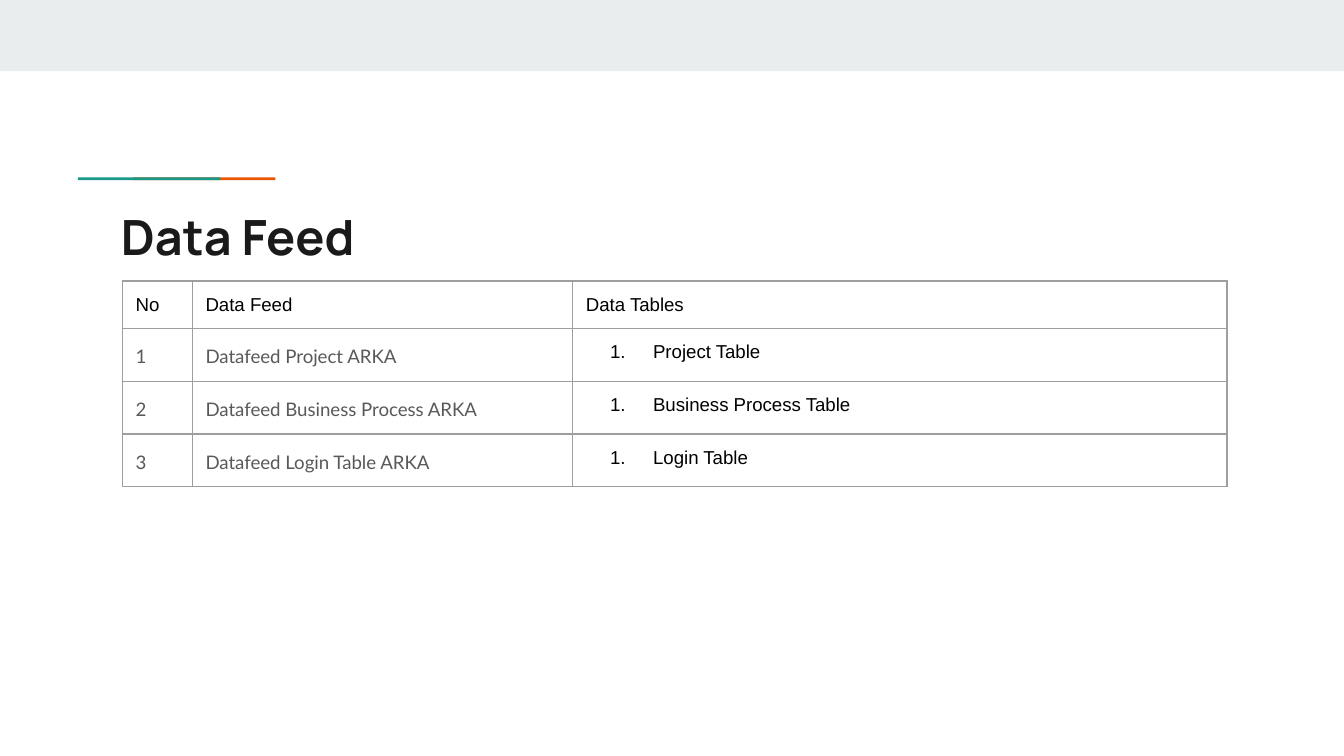
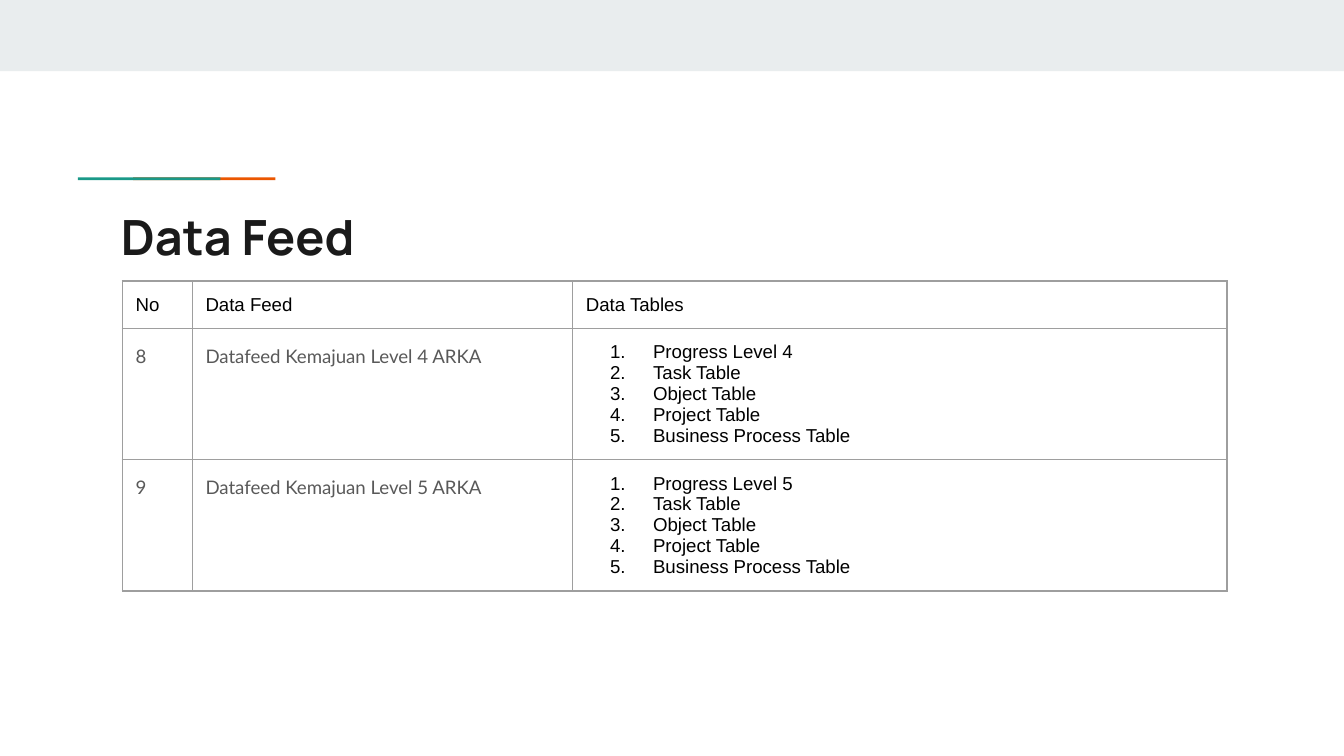
"""Build the two Data Feed slides, each with a feed table under a shared heading."""
from dataclasses import dataclass

from lxml import etree
from pptx import Presentation
from pptx.dml.color import RGBColor
from pptx.enum import shapes, text
from pptx.oxml import ns
from pptx.util import Inches, Pt

BLACK, GREY, INK, RULE = "000000", "595959", "1A1A1A", "9E9E9E"
INSET = Inches(0.1)
ROW_HEIGHT = Inches(0.28)
COLUMN_WIDTHS = (0.52, 2.83, 4.87)
HEADINGS = ("No", "Data Feed", "Data Tables")


@dataclass(frozen=True)
class Bar:
    left: float
    top: float
    width: float
    height: float
    color: str


@dataclass(frozen=True)
class Feed:
    number: int
    name: str
    tables: tuple[str, ...]


@dataclass(frozen=True)
class FeedPage:
    table_height: float
    feeds: tuple[Feed, ...]


BARS = (
    Bar(0, 0, 10, 0.53, "E9EDEE"),
    Bar(0.99, 1.32, 1.06, 0.02, "EB5600"),
    Bar(0.58, 1.32, 1.06, 0.02, "1A9988"),
)
COMMON_TABLES = ("Task Table", "Object Table", "Project Table", "Business Process Table")
PAGES = (
    FeedPage(1.54, (
        Feed(1, "Datafeed Project ARKA", ("Project Table",)),
        Feed(2, "Datafeed Business Process ARKA", ("Business Process Table",)),
        Feed(3, "Datafeed Login Table ARKA", ("Login Table",)),
    )),
    FeedPage(2.43, tuple(
        Feed(level + 4, f"Datafeed Kemajuan Level {level} ARKA",
             (f"Progress Level {level}", *COMMON_TABLES))
        for level in (4, 5)
    )),
)


def rgb(color: str) -> RGBColor:
    """Turn a hex string into a colour."""
    return RGBColor.from_string(color)


def add_span(para, words: str, size: float, font: str, color: str, bold: bool = False) -> None:
    """Add one formatted run to a paragraph."""
    span = para.add_run()
    span.text = words
    span.font.size = Pt(size)
    span.font.name = font
    span.font.bold = bold
    span.font.color.rgb = rgb(color)


def add_bar(page, bar: Bar) -> None:
    """Draw a plain filled rectangle."""
    box = page.shapes.add_shape(
        shapes.MSO_SHAPE.RECTANGLE,
        *(Inches(length) for length in (bar.left, bar.top, bar.width, bar.height)))
    box.shadow.inherit = False
    box.fill.solid()
    box.fill.fore_color.rgb = rgb(bar.color)
    box.line.fill.background()


def set_title(page) -> None:
    """Place and format the title."""
    title = page.shapes.title
    title.left, title.top = Inches(0.8), Inches(1.44)
    title.width, title.height = Inches(8.41), Inches(0.59)
    frame = title.text_frame
    frame.margin_left = frame.margin_right = INSET
    frame.margin_top = frame.margin_bottom = INSET
    frame.word_wrap = True
    frame.auto_size = text.MSO_AUTO_SIZE.NONE
    frame.vertical_anchor = text.MSO_ANCHOR.TOP
    para = frame.paragraphs[0]
    para.alignment = text.PP_ALIGN.LEFT
    add_span(para, "Data Feed", 26, "Manrope", INK, bold=True)


def format_cell(cell) -> None:
    """Give a cell its insets, thin borders and no fill."""
    cell.margin_left = cell.margin_right = INSET
    cell.margin_top = cell.margin_bottom = INSET
    cell.vertical_anchor = text.MSO_ANCHOR.TOP
    cell.fill.background()
    properties = cell._tc.get_or_add_tcPr()
    for position, side in enumerate(("lnL", "lnR", "lnT", "lnB")):
        line = etree.Element(ns.qn(f"a:{side}"), w=str(Pt(0.75)))
        fill = etree.SubElement(line, ns.qn("a:solidFill"))
        etree.SubElement(fill, ns.qn("a:srgbClr"), val=RULE)
        properties.insert(position, line)


def number_paragraph(para) -> None:
    """Give a paragraph a hanging automatic number."""
    properties = para._p.get_or_add_pPr()
    properties.set("marL", str(Inches(0.5)))
    properties.set("indent", str(Inches(-0.32)))
    color = etree.SubElement(properties, ns.qn("a:buClr"))
    etree.SubElement(color, ns.qn("a:srgbClr"), val=BLACK)
    etree.SubElement(properties, ns.qn("a:buFont"), typeface="Arial")
    etree.SubElement(properties, ns.qn("a:buAutoNum"), type="arabicPeriod")


def write_label(cell, words: str) -> None:
    """Write a grey label into a body cell."""
    para = cell.text_frame.paragraphs[0]
    para.line_spacing = 1.15
    para.space_after = Pt(16)
    add_span(para, words, 10, "Lato", GREY)


def write_list(cell, items: tuple[str, ...]) -> None:
    """Write a numbered list into a cell."""
    frame = cell.text_frame
    for index, item in enumerate(items):
        para = frame.add_paragraph() if index else frame.paragraphs[0]
        number_paragraph(para)
        add_span(para, item, 10, "Arial", BLACK)


def add_feed_table(page, content: FeedPage) -> None:
    """Add the table of data feeds."""
    frame = page.shapes.add_table(
        len(content.feeds) + 1, len(HEADINGS), Inches(0.91), Inches(2.09),
        Inches(sum(COLUMN_WIDTHS)), Inches(content.table_height))
    table = frame.table
    table.first_row = table.horz_banding = False
    for column, width in zip(table.columns, COLUMN_WIDTHS):
        column.width = Inches(width)
    for row in table.rows:
        row.height = ROW_HEIGHT
    frame.height = Inches(content.table_height)
    for cell in table.iter_cells():
        format_cell(cell)
    for column, heading in enumerate(HEADINGS):
        add_span(table.cell(0, column).text_frame.paragraphs[0], heading, 10, "Arial", BLACK)
    for row, feed in enumerate(content.feeds, start=1):
        write_label(table.cell(row, 0), str(feed.number))
        write_label(table.cell(row, 1), feed.name)
        write_list(table.cell(row, 2), feed.tables)


def main() -> None:
    """Build and save the deck."""
    deck = Presentation()
    deck.slide_width = Inches(10)
    deck.slide_height = deck.slide_width * 9 // 16
    layout = deck.slide_layouts.get_by_name("Title Only")
    for content in PAGES:
        page = deck.slides.add_slide(layout)
        for bar in BARS:
            add_bar(page, bar)
        set_title(page)
        add_feed_table(page, content)
    deck.save("out.pptx")


if __name__ == "__main__":
    main()
